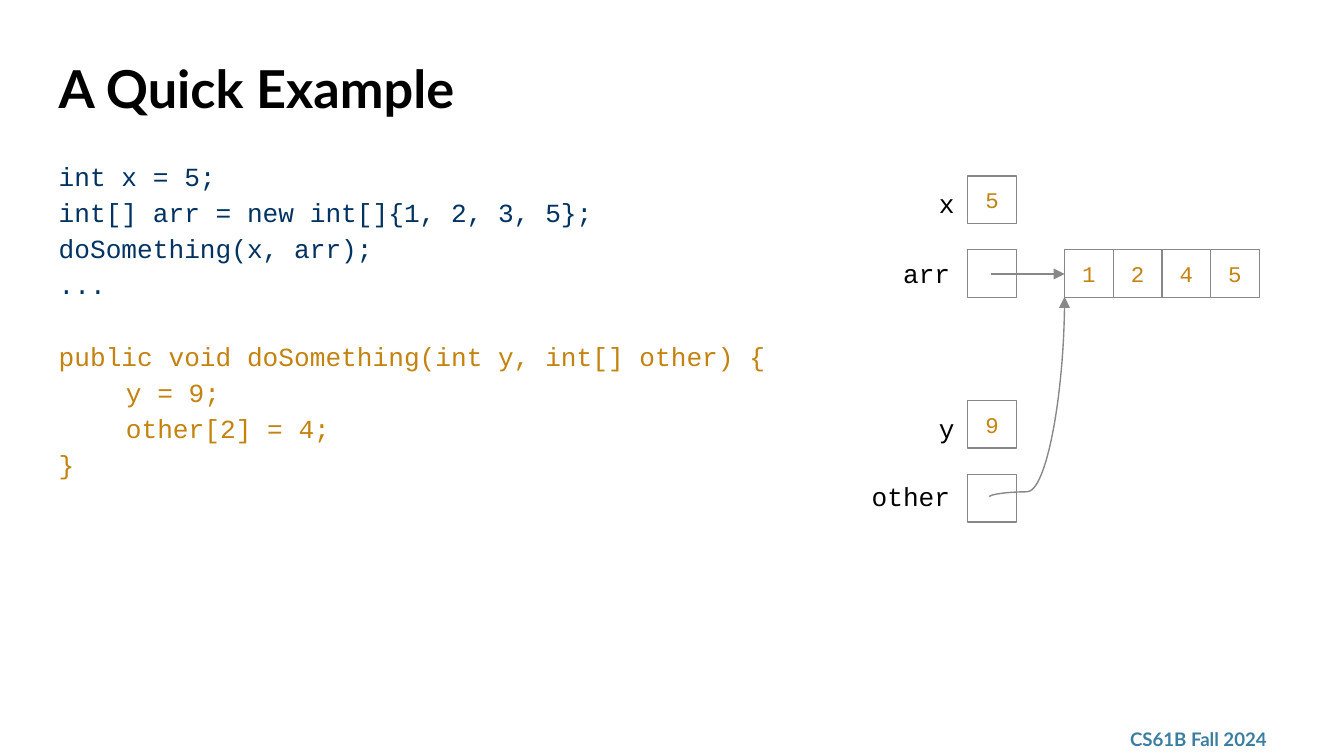
from pptx import Presentation
from pptx.dml.color import RGBColor
from pptx.enum.shapes import MSO_CONNECTOR, MSO_SHAPE
from pptx.enum.text import MSO_ANCHOR, MSO_AUTO_SIZE, PP_ALIGN
from pptx.oxml.ns import qn
from pptx.util import Cm, Pt
from lxml.etree import SubElement

GRAY, GOLD, NAVY, BLACK = "888888", "C4820E", "003262", "000000"
MONO = "Courier New"


def tint(code):
    return RGBColor.from_string(code)


def write(shape, lines, color, font, align=PP_ALIGN.LEFT, anchor=MSO_ANCHOR.TOP):
    frame = shape.text_frame
    form = {"word_wrap": True, "auto_size": MSO_AUTO_SIZE.NONE,
            "vertical_anchor": anchor}
    for side in ("left", "right", "top", "bottom"):
        form["margin_" + side] = Cm(0.25)
    for name, value in form.items():
        setattr(frame, name, value)
    for i, line in enumerate(lines):
        para = frame.paragraphs[0] if i == 0 else frame.add_paragraph()
        para.alignment = align
        run = para.add_run()
        run.text = line
        for name, value in font.items():
            setattr(run.font, name, value)
        run.font.color.rgb = tint(color)


deck = Presentation()
deck.slide_width, deck.slide_height = Cm(25.4), Cm(14.29)
slide = deck.slides.add_slide(deck.slide_layouts[1])
shapes = slide.shapes
title, body = slide.placeholders

# Footer
foot = shapes.add_textbox(Cm(21.11), Cm(13.64), Cm(3.43), Cm(0.66))
write(foot, ["CS61B Fall 2024"], "3B7EA1",
      {"name": "Lato", "size": Pt(10), "bold": True}, anchor=MSO_ANCHOR.MIDDLE)

# Title
title.left, title.top, title.width, title.height = Cm(0.86), Cm(0.81), Cm(23.67), Cm(1.6)
write(title, ["A Quick Example"], BLACK,
      {"name": "Lato", "size": Pt(28), "bold": True})

# Code
call = ["int x = 5;", "int[] arr = new int[]{1, 2, 3, 5};",
        "doSomething(x, arr);", "..."]
method = ["public void doSomething(int y, int[] other) {",
          "\ty = 9;", "\tother[2] = 4;", "}"]
code = {"name": MONO, "size": Pt(14)}
body.left, body.top, body.width, body.height = Cm(0.86), Cm(2.69), Cm(14.53), Cm(6.83)
write(body, call + method, NAVY, code)
paras = body.text_frame.paragraphs
for i, para in enumerate(paras):
    props = para._p.get_or_add_pPr()
    props.set("marL", "0")
    props.set("indent", "0")
    SubElement(props, qn("a:buNone"))
    para.line_spacing = 1.15
    para.space_before = Pt(19.3 if i == len(call) else 0)
    if i >= len(call):
        para.runs[0].font.color.rgb = tint(GOLD)

# Variable boxes, then the array cells in a group
wide, high = 0.92, 0.9
group = shapes.add_group_shape()
cells = [(shapes, 18.29, top, text) for top, text in
         [(3.33, "5"), (4.72, ""), (7.57, "9"), (8.97, "")]]
cells += [(group.shapes, 20.12 + i * wide, 4.72, text)
          for i, text in enumerate("1245")]
for home, left, top, text in cells:
    box = home.add_shape(MSO_SHAPE.RECTANGLE, Cm(left), Cm(top), Cm(wide), Cm(high))
    box.shadow.inherit = False
    box.fill.solid()
    box.fill.fore_color.rgb = tint("FFFFFF")
    box.line.color.rgb = tint(GRAY)
    box.line.width = Pt(0.75)
    if text:
        write(box, [text], GOLD, {"name": MONO, "size": Pt(12)},
              PP_ALIGN.CENTER, MSO_ANCHOR.MIDDLE)

# Variable names, set against the boxes
for name, right, top, width in [("x", 18.29, 3.3, 0.81), ("arr", 18.21, 4.62, 1.68),
                                ("y", 18.29, 7.54, 0.81), ("other", 18.21, 8.84, 2.29)]:
    label = shapes.add_textbox(Cm(right - width), Cm(top), Cm(width), Cm(1.12))
    write(label, [name], BLACK, code, PP_ALIGN.RIGHT)

# Arrows to the array; the curved one is turned to leave upward
straight = shapes.add_connector(MSO_CONNECTOR.STRAIGHT,
                                Cm(18.72), Cm(5.18), Cm(20.12), Cm(5.18))
curve = shapes.add_connector(MSO_CONNECTOR.CURVE,
                             Cm(17.52), Cm(6.79), Cm(21.3), Cm(8.21))
for arrow in (straight, curve):
    arrow.line.color.rgb = tint(GRAY)
    arrow.line.width = Pt(0.75)
    SubElement(arrow.line._get_or_add_ln(), qn("a:tailEnd"), type="triangle")
    SubElement(arrow._element.spPr, qn("a:effectLst"))
curve._element.spPr.find(qn("a:xfrm")).set("rot", "16200000")
bend = curve._element.spPr.find(qn("a:prstGeom")).find(qn("a:avLst"))
SubElement(bend, qn("a:gd"), name="adj1", fmla="val 2500")

deck.save("out.pptx")
